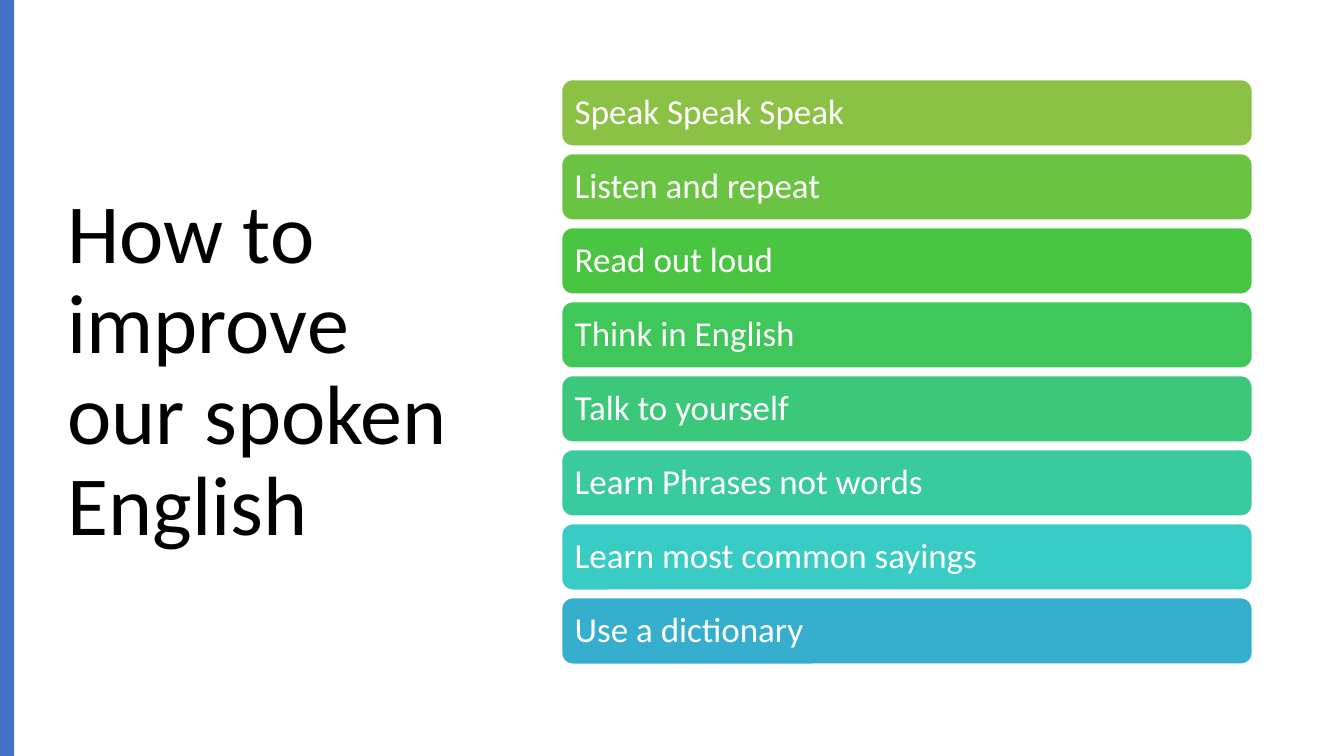
from pptx import Presentation
from pptx.dml.color import RGBColor
from pptx.enum.shapes import MSO_SHAPE as Shape
from pptx.enum.text import MSO_ANCHOR as Anchor, MSO_AUTO_SIZE as AutoSize, PP_ALIGN as Align
from pptx.util import Inches, Pt

COLORS = {"accent": "4472C4", "title": "000000", "white": "FFFFFF"}
FONT = "Calibri"
BAR_HEIGHT = 0.66
TIPS = [
    ("Speak Speak Speak", "8BC145"),
    ("Listen and repeat", "6BC343"),
    ("Read out loud", "49C541"),
    ("Think in English", "3FC759"),
    ("Talk to yourself", "3CC87B"),
    ("Learn Phrases not words", "3ACA9F"),
    ("Learn most common sayings", "38CCC5"),
    ("Use a dictionary", "36AFCE"),
]


def rgb(value):
    return RGBColor.from_string(value)


def write_text(sp, text, size, color):
    tf = sp.text_frame
    tf.text = text
    tf.word_wrap = True
    tf.auto_size = AutoSize.NONE
    tf.vertical_anchor = Anchor.MIDDLE
    tf.margin_left = tf.margin_right = Inches(0.1)
    p = tf.paragraphs[0]
    p.alignment = Align.LEFT
    p.line_spacing = 0.9
    p.font.name = FONT
    p.font.size = Pt(size)
    p.font.color.rgb = rgb(color)


def add_block(slide, shape, box, fill):
    sp = slide.shapes.add_shape(shape, *map(Inches, box))
    sp.shadow.inherit = False
    sp.fill.solid()
    sp.fill.fore_color.rgb = rgb(fill)
    sp.line.fill.background()
    return sp


def place_title(slide, box, text):
    sp = slide.shapes.title
    sp.left, sp.top, sp.width, sp.height = map(Inches, box)
    write_text(sp, text, 60, COLORS["title"])


def add_tips(slide, box, tips):
    left, top, width, height = box
    pitch = (height - BAR_HEIGHT) / (len(tips) - 1)
    for i, (text, fill) in enumerate(tips):
        bar_box = (left, top + i * pitch, width, BAR_HEIGHT)
        sp = add_block(slide, Shape.ROUNDED_RECTANGLE, bar_box, fill)
        sp.line.color.rgb = rgb(COLORS["white"])
        sp.line.width = Pt(1)
        write_text(sp, text, 25, COLORS["white"])


def main():
    prs = Presentation()
    prs.slide_width, prs.slide_height = Inches(13.33), Inches(7.5)
    slide = prs.slides.add_slide(prs.slide_layouts[5])

    # Title on the left, beside the accent strip
    place_title(slide, (0.57, 0.68, 4.16, 6.02), "How to improve our spoken English")
    add_block(slide, Shape.RECTANGLE, (0, 0, 0.14, 7.5), COLORS["accent"])

    # Stack of tips on the right
    add_tips(slide, (5.57, 0.79, 6.85, 5.8), TIPS)

    prs.save("out.pptx")


if __name__ == "__main__":
    main()
